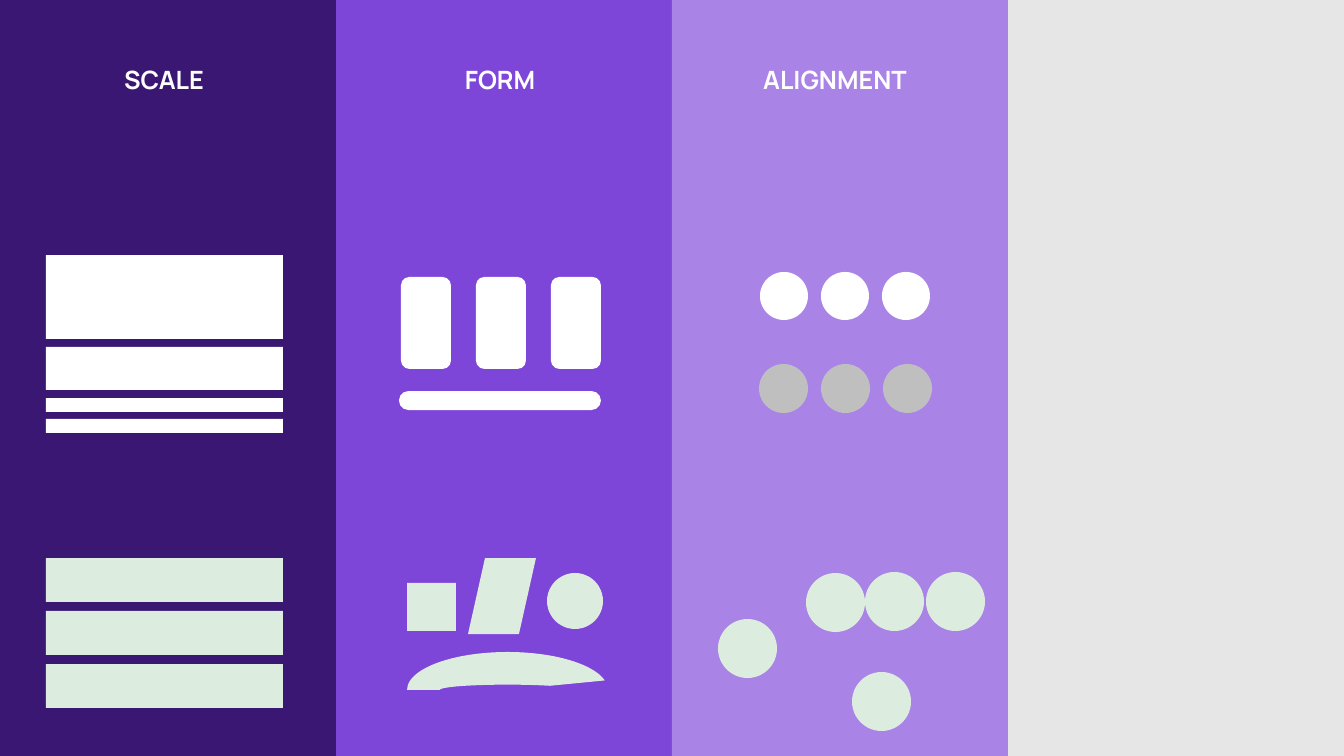
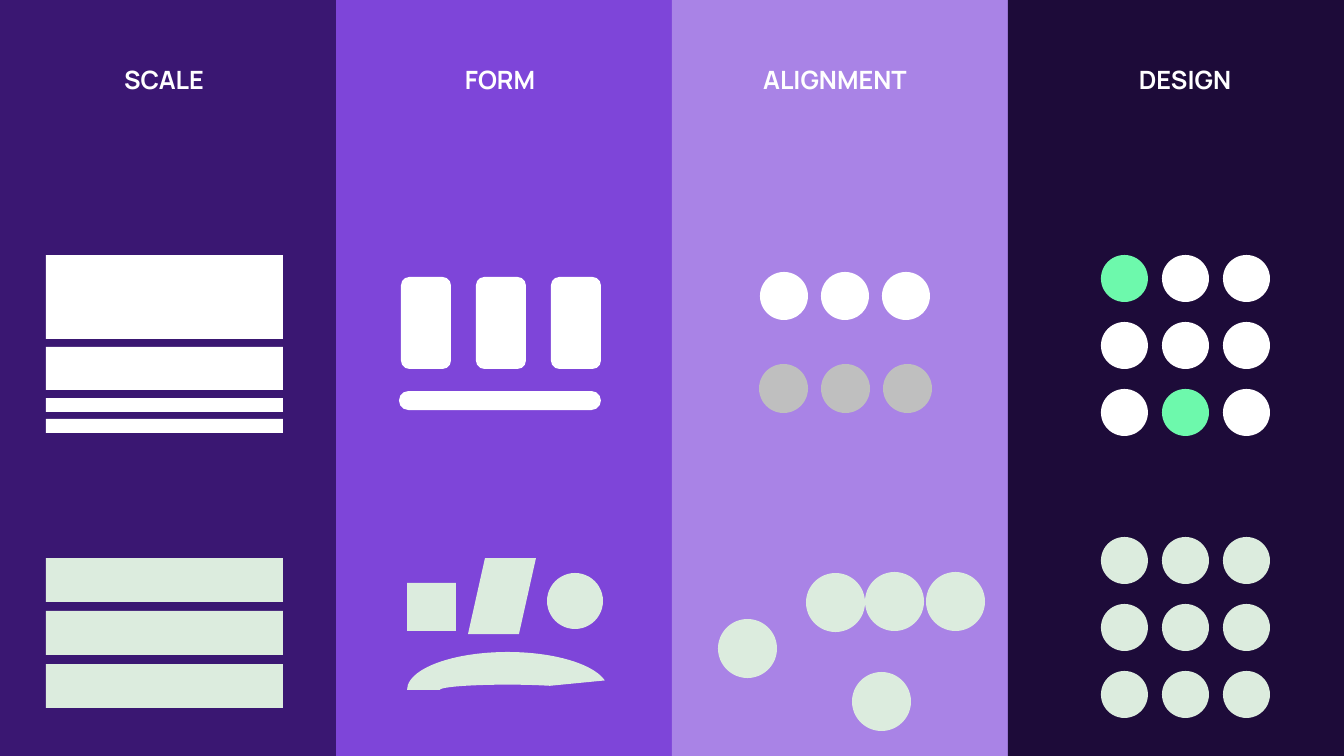
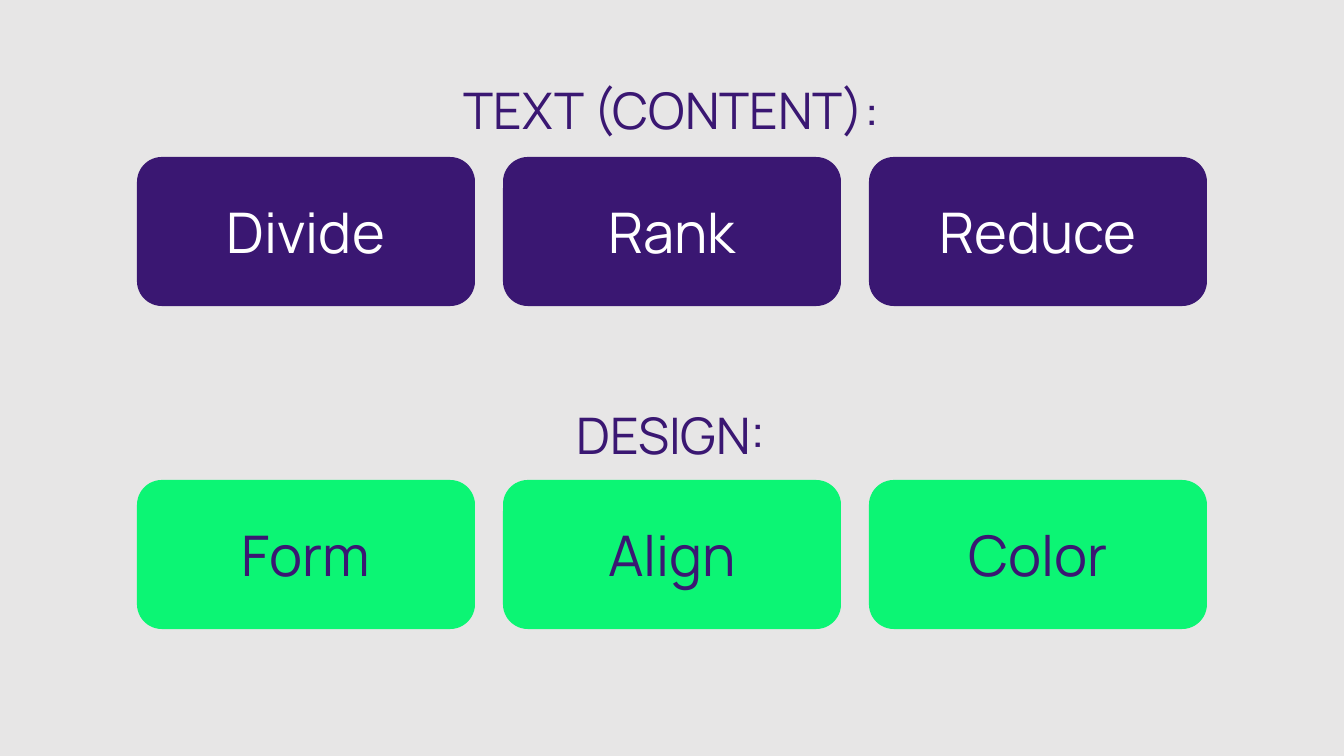
from dataclasses import dataclass

from pptx import Presentation
from pptx import util as u
from pptx.dml.color import RGBColor
from pptx.enum import shapes as s
from pptx.enum import text as t

PX = u.Inches(1) / 100.8
WIDTH, HEIGHT = 1344, 756
COLUMN = WIDTH // 4
RECT = s.MSO_SHAPE.RECTANGLE
ROUND = s.MSO_SHAPE.ROUNDED_RECTANGLE
OVAL = s.MSO_SHAPE.OVAL


@dataclass(frozen=True)
class Theme:
    font: str = "Manrope"
    background: str = "E7E6E6"
    deep: str = "3A1772"
    violet: str = "7E45D9"
    lilac: str = "A983E6"
    night: str = "1D0B39"
    white: str = "FFFFFF"
    grey: str = "BFBFBF"
    pale: str = "DCECDE"
    mint: str = "6DF9AC"
    green: str = "0CF574"
    heading_size: int = 18
    title_size: int = 36
    card_size: int = 40


theme = Theme()


def draw(shapes, kind, box, fill=None, adjust=()):
    """Add a flat preset shape, or a text box when kind is None; box is in px."""
    place = [u.Emu(round(length * PX)) for length in box]
    if kind is None:
        return shapes.add_textbox(*place)
    shape = shapes.add_shape(kind, *place)
    shape.shadow.inherit = False
    shape.fill.solid()
    shape.fill.fore_color.rgb = RGBColor.from_string(fill)
    shape.line.fill.background()
    for i, value in enumerate(adjust):
        shape.adjustments[i] = value
    return shape


def write(shape, words, size, color, frame_format, bold=False, spacing=None):
    frame = shape.text_frame
    for name, value in frame_format.items():
        setattr(frame, name, value)
    paragraph = frame.paragraphs[0]
    paragraph.alignment = t.PP_ALIGN.CENTER
    paragraph.line_spacing = spacing
    run = paragraph.add_run()
    run.text = words
    for name, value in {"name": theme.font, "size": u.Pt(size), "bold": bold}.items():
        setattr(run.font, name, value)
    run.font.color.rgb = RGBColor.from_string(color)


heading_format = {"word_wrap": False, "auto_size": t.MSO_AUTO_SIZE.SHAPE_TO_FIT_TEXT}
middle_format = {"word_wrap": True, "vertical_anchor": t.MSO_ANCHOR.MIDDLE}

# Principles: heading, centre of the heading, band colour
principles = [
    ("SCALE", 164, theme.deep),
    ("FORM", 500, theme.violet),
    ("ALIGNMENT", 835, theme.lilac),
    ("DESIGN", 1185, theme.night),
]

# Figures: each is a list of (kind, box, fill, adjustments)
ranked_bars = [(RECT, (46, top, 237, height), theme.white, ())
               for top, height in [(255, 84), (347, 43), (398, 14), (419, 14)]]
equal_bars = [(RECT, (46, 558 + 53 * row, 237, 44), theme.pale, ()) for row in range(3)]

matching_forms = [(ROUND, (401 + 75 * col, 277, 50, 92), theme.white, ()) for col in range(3)]
matching_forms.append((ROUND, (399, 391, 202, 19), theme.white, (0.5,)))
mixed_forms = [
    (RECT, (407, 583, 49, 48), theme.pale, ()),
    (s.MSO_SHAPE.PARALLELOGRAM, (468, 558, 68, 76), theme.pale, ()),
    (OVAL, (547, 573, 56, 56), theme.pale, ()),
    (s.MSO_SHAPE.BLOCK_ARC, (407, 652, 201, 76), theme.pale, (108, 212.64, 0.43)),
]

aligned_dots = [(OVAL, (left + step * col, top, size, size), fill, ())
                for left, top, step, size, fill in [(760, 272, 61, 48, theme.white),
                                                    (759, 364, 62, 49, theme.grey)]
                for col in range(3)]
scattered_dots = [(OVAL, (left, top, 59, 59), theme.pale, ())
                  for left, top in [(718, 619), (852, 672), (926, 572), (865, 572), (806, 573)]]

accents = [(0, 0), (2, 1)]
accent_grid, plain_grid = [
    [(OVAL, (1101 + 61 * col, top + 67 * row, 47, 47),
      theme.mint if (row, col) in marked else fill, ())
     for row in range(3) for col in range(3)]
    for top, fill, marked in [(255, theme.white, accents), (537, theme.pale, [])]
]

figures = [
    (ranked_bars, equal_bars),
    (matching_forms, mixed_forms),
    (aligned_dots, scattered_dots),
    (accent_grid, plain_grid),
]

deck = Presentation()
deck.slide_width = u.Emu(round(WIDTH * PX))
deck.slide_height = u.Emu(round(HEIGHT * PX))
slides = [deck.slides.add_slide(deck.slide_layouts[6]) for _ in range(3)]
for slide in slides:
    slide.background.fill.solid()
    slide.background.fill.fore_color.rgb = RGBColor.from_string(theme.background)

# Slides 1 and 2: the principles, three columns and then four
for slide, shown in zip(slides, (3, 4)):
    for col, (heading, center, band) in enumerate(principles[:shown]):
        draw(slide.shapes, RECT, (COLUMN * col, 0, COLUMN, HEIGHT), band)
        label = draw(slide.shapes, None, (center - 84, 59, 168, 40))
        write(label, heading, theme.heading_size, theme.white, heading_format, bold=True)
        for figure in figures[col]:
            group = slide.shapes.add_group_shape()
            for mark in figure:
                draw(group.shapes, *mark)

# Slide 3: the steps for text and for design
steps = [
    ("TEXT (CONTENT):", 67, 157, theme.deep, theme.white, ["Divide", "Rank", "Reduce"]),
    ("DESIGN:", 392, 480, theme.green, theme.deep, ["Form", "Align", "Color"]),
]
for title, title_top, card_top, fill, ink, cards in steps:
    title_box = draw(slides[2].shapes, None, (166, title_top, 1011, 92))
    write(title_box, title, theme.title_size, theme.deep, middle_format, spacing=0.9)
    for col, step in enumerate(cards):
        card = draw(slides[2].shapes, ROUND, (137 + 366 * col, card_top, 338, 149), fill)
        write(card, step, theme.card_size, ink, middle_format)

deck.save("out.pptx")
